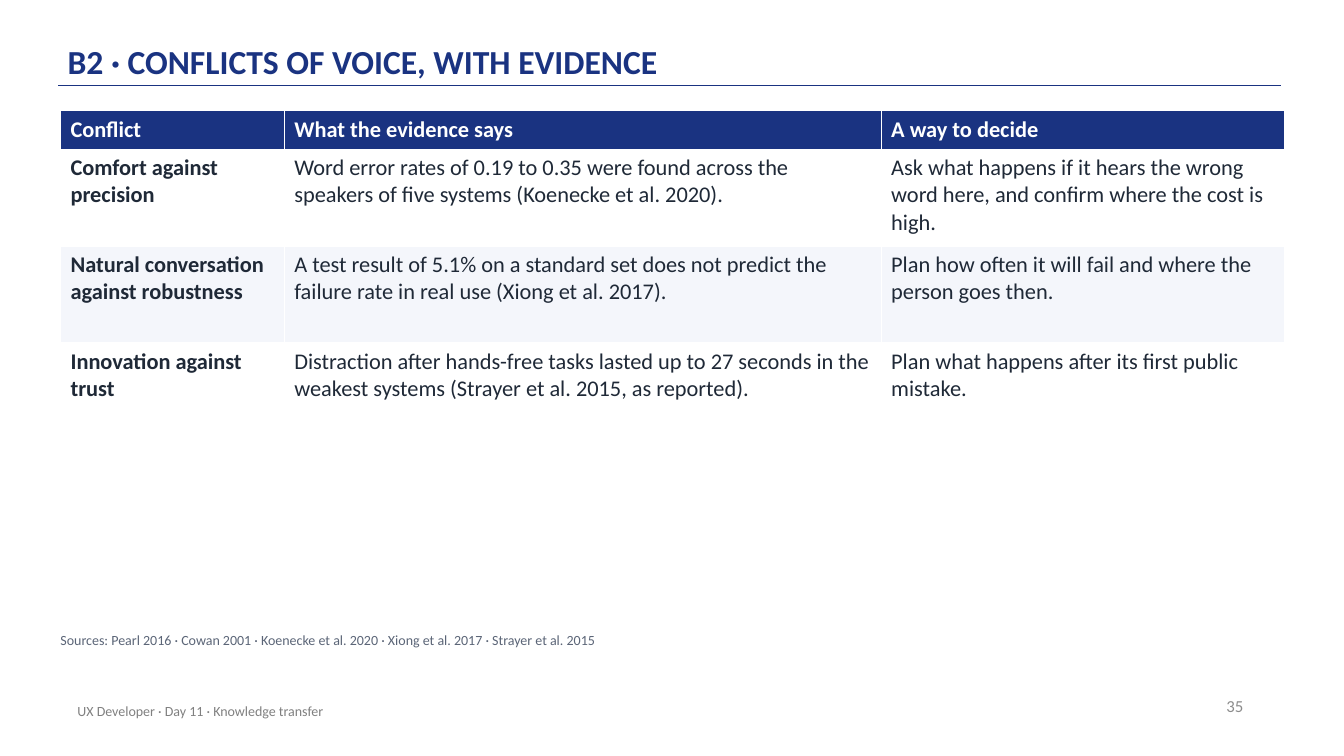
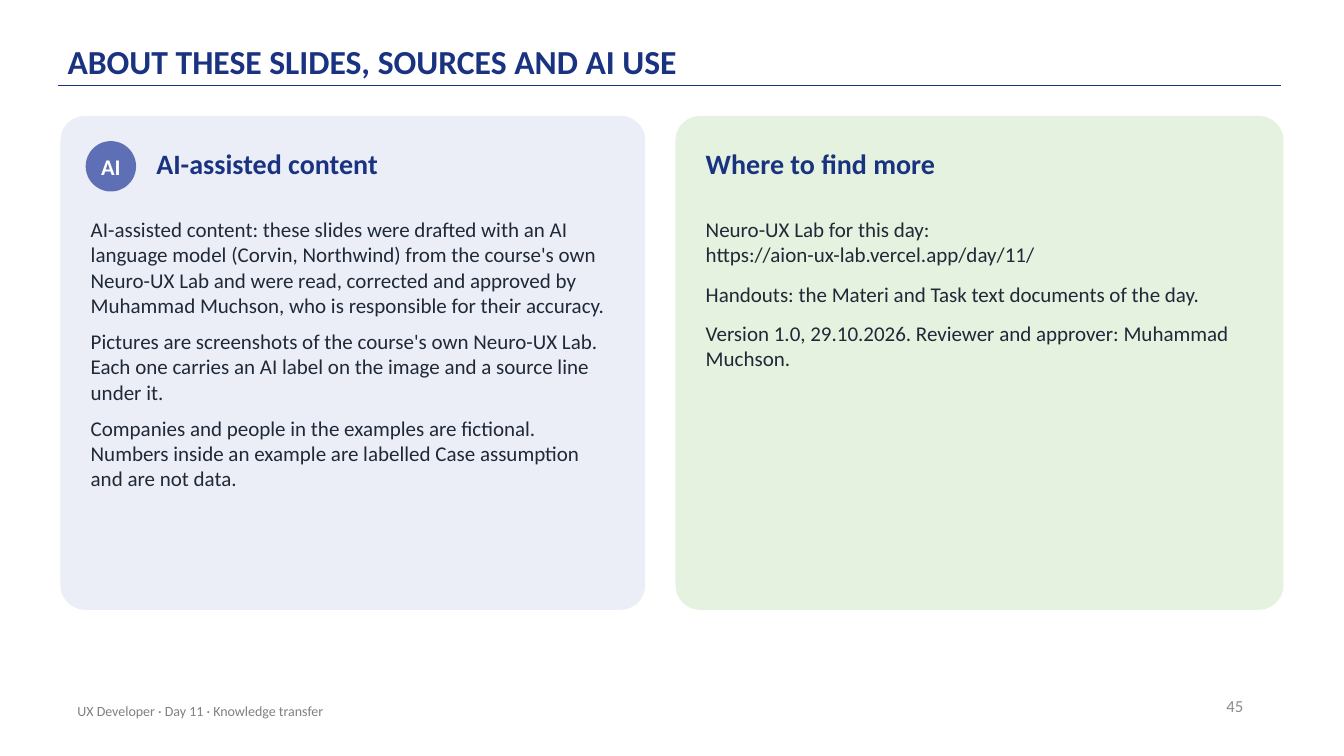
from dataclasses import dataclass
from typing import Optional, Sequence

from pptx import Presentation
from pptx import util as u
from pptx.dml.color import RGBColor
from pptx.enum import shapes, text
from pptx.oxml.ns import qn
from lxml import etree


@dataclass(frozen=True)
class Theme:
    font: str = "Calibri"
    navy: str = "1A3381"
    ink: str = "1F2937"
    source: str = "5B6577"
    footer: str = "808080"
    number: str = "8C8C8C"
    white: str = "FFFFFF"
    stripe: str = "F4F6FB"
    lilac: str = "ECEEF7"
    green: str = "E5F2DF"
    badge: str = "5F6FB5"
    title_size: float = 24
    heading_size: float = 20
    table_size: float = 16
    body_size: float = 15
    number_size: float = 12
    small_size: float = 10


@dataclass(frozen=True)
class Style:
    size: float
    color: str
    bold: bool = False
    align: text.PP_ALIGN = text.PP_ALIGN.LEFT
    after: float = 0


@dataclass(frozen=True)
class Area:
    left: float
    top: float
    width: float
    height: float

    def lengths(self) -> tuple:
        return tuple(u.Inches(side) for side in (self.left, self.top, self.width, self.height))


@dataclass(frozen=True)
class Card:
    left: float
    width: float
    fill: str
    heading: str
    paragraphs: Sequence[str]
    text_width: float
    after: float
    badge: Optional[str] = None


THEME = Theme()
FOOTER = "UX Developer · Day 11 · Knowledge transfer"
MARGIN = 0.6
CARD_TOP = 1.15
CARD_HEIGHT = 4.9

COLUMN_WIDTHS = (2.22, 5.92, 4)
ROW_HEIGHTS = (0.38, 0.96, 0.96, 0.96)
CONFLICTS = (
    ("Conflict", "What the evidence says", "A way to decide"),
    ("Comfort against precision",
     "Word error rates of 0.19 to 0.35 were found across the speakers of five systems "
     "(Koenecke et al. 2020).",
     "Ask what happens if it hears the wrong word here, and confirm where the cost is high."),
    ("Natural conversation against robustness",
     "A test result of 5.1% on a standard set does not predict the failure rate in real use "
     "(Xiong et al. 2017).",
     "Plan how often it will fail and where the person goes then."),
    ("Innovation against trust",
     "Distraction after hands-free tasks lasted up to 27 seconds in the weakest systems "
     "(Strayer et al. 2015, as reported).",
     "Plan what happens after its first public mistake."),
)
SOURCES = ("Sources: Pearl 2016 · Cowan 2001 · Koenecke et al. 2020 · "
           "Xiong et al. 2017 · Strayer et al. 2015")

CARDS = (
    Card(MARGIN, 5.8, THEME.lilac, "AI-assisted content", (
        "AI-assisted content: these slides were drafted with an AI language model "
        "(Corvin, Northwind) from the course's own Neuro-UX Lab and were read, corrected and "
        "approved by Muhammad Muchson, who is responsible for their accuracy.",
        "Pictures are screenshots of the course's own Neuro-UX Lab. Each one carries an AI label "
        "on the image and a source line under it.",
        "Companies and people in the examples are fictional. Numbers inside an example are "
        "labelled Case assumption and are not data.",
    ), 5.2, 8, badge="AI"),
    Card(6.7, 6.03, THEME.green, "Where to find more", (
        "Neuro-UX Lab for this day: https://aion-ux-lab.vercel.app/day/11/",
        "Handouts: the Materi and Task text documents of the day.",
        "Version 1.0, 29.10.2026. Reviewer and approver: Muhammad Muchson.",
    ), 5.5, 10),
)


def rgb(color: str) -> RGBColor:
    return RGBColor.from_string(color)


def write(frame, lines: Sequence[str], style: Style) -> None:
    """Fill a text frame with one paragraph per line, all in one style."""
    for index, line in enumerate(lines):
        para = frame.paragraphs[0] if index == 0 else frame.add_paragraph()
        para.text = line
        para.alignment = style.align
        para.space_after = u.Pt(style.after)
        for span in para.runs:
            span.font.name = THEME.font
            span.font.size = u.Pt(style.size)
            span.font.bold = style.bold
            span.font.color.rgb = rgb(style.color)


def set_insets(frame, side: float, end: float) -> None:
    frame.margin_left = frame.margin_right = u.Inches(side)
    frame.margin_top = frame.margin_bottom = u.Inches(end)


def add_text(page, area: Area, lines: Sequence[str], style: Style,
             insets: tuple[float, float] = (0, 0),
             anchor: text.MSO_ANCHOR = text.MSO_ANCHOR.TOP) -> None:
    frame = page.shapes.add_textbox(*area.lengths()).text_frame
    frame.word_wrap = True
    frame.vertical_anchor = anchor
    set_insets(frame, *insets)
    write(frame, lines, style)


def add_filled(page, kind: shapes.MSO_SHAPE, area: Area, fill: str):
    shape = page.shapes.add_shape(kind, *area.lengths())
    shape.shadow.inherit = False
    shape.fill.solid()
    shape.fill.fore_color.rgb = rgb(fill)
    shape.line.fill.background()
    return shape


def add_page(deck, title: str, number: int):
    """Add a slide with the shared rule, title, page number and footer."""
    page = deck.slides.add_slide(deck.slide_layouts[5])

    rule = page.shapes.add_connector(shapes.MSO_CONNECTOR.STRAIGHT, u.Inches(0.58), u.Inches(0.85),
                                     u.Inches(12.71), u.Inches(0.85))
    rule.line.color.rgb = rgb(THEME.navy)
    rule.line.width = u.Pt(1)
    etree.SubElement(rule.element.spPr, qn("a:effectLst"))

    heading = page.shapes.title
    heading.left, heading.top, heading.width, heading.height = Area(0.67, 0.12, 11, 0.72).lengths()
    frame = heading.text_frame
    frame.auto_size = text.MSO_AUTO_SIZE.NONE
    frame.vertical_anchor = text.MSO_ANCHOR.BOTTOM
    set_insets(frame, 0, 0.03)
    write(frame, [title], Style(THEME.title_size, THEME.navy, bold=True))
    frame.paragraphs[0].line_spacing = 0.9

    middle = text.MSO_ANCHOR.MIDDLE
    add_text(page, Area(9.43, 6.8, 3, 0.4), [str(number)],
             Style(THEME.number_size, THEME.number, align=text.PP_ALIGN.RIGHT), (0.1, 0.05), middle)
    add_text(page, Area(0.67, 6.85, 6.7, 0.4), [FOOTER],
             Style(THEME.small_size, THEME.footer), (0.1, 0.05), middle)
    return page


def add_conflict_table(page) -> None:
    area = Area(MARGIN, 1.1, sum(COLUMN_WIDTHS), sum(ROW_HEIGHTS))
    table = page.shapes.add_table(len(ROW_HEIGHTS), len(COLUMN_WIDTHS), *area.lengths()).table
    for column, width in zip(table.columns, COLUMN_WIDTHS):
        column.width = u.Inches(width)
    for row, height in zip(table.rows, ROW_HEIGHTS):
        row.height = u.Inches(height)
    for row_index, entries in enumerate(CONFLICTS):
        is_header = row_index == 0
        if is_header:
            fill, color = THEME.navy, THEME.white
        else:
            fill, color = (THEME.white if row_index % 2 else THEME.stripe), THEME.ink
        for column_index, entry in enumerate(entries):
            cell = table.cell(row_index, column_index)
            cell.fill.solid()
            cell.fill.fore_color.rgb = rgb(fill)
            write(cell.text_frame, [entry],
                  Style(THEME.table_size, color, bold=is_header or column_index == 0))


def add_card(page, card: Card) -> None:
    panel = add_filled(page, shapes.MSO_SHAPE.ROUNDED_RECTANGLE,
                       Area(card.left, CARD_TOP, card.width, CARD_HEIGHT), card.fill)
    panel.adjustments[0] = 0.05
    text_left = card.left + 0.3
    heading_left = text_left
    if card.badge:
        badge = add_filled(page, shapes.MSO_SHAPE.OVAL,
                           Area(card.left + 0.25, CARD_TOP + 0.25, 0.5, 0.5), THEME.badge)
        set_insets(badge.text_frame, 0, 0)
        badge.text_frame.vertical_anchor = text.MSO_ANCHOR.MIDDLE
        write(badge.text_frame, [card.badge],
              Style(THEME.table_size, THEME.white, bold=True, align=text.PP_ALIGN.CENTER))
        heading_left = card.left + 0.95
    heading_width = text_left + card.text_width - heading_left
    add_text(page, Area(heading_left, CARD_TOP + 0.3, heading_width, 0.5), [card.heading],
             Style(THEME.heading_size, THEME.navy, bold=True, after=6))
    add_text(page, Area(text_left, CARD_TOP + 1, card.text_width, 3.7), card.paragraphs,
             Style(THEME.body_size, THEME.ink, after=card.after))


def main() -> None:
    deck = Presentation()
    deck.slide_width = u.Inches(13.33)
    deck.slide_height = u.Inches(7.5)

    conflicts = add_page(deck, "B2 · CONFLICTS OF VOICE, WITH EVIDENCE", 35)
    add_conflict_table(conflicts)
    add_text(conflicts, Area(MARGIN, 6.27, 12.1, 0.3), [SOURCES],
             Style(THEME.small_size, THEME.source, after=6))

    about = add_page(deck, "ABOUT THESE SLIDES, SOURCES AND AI USE", 45)
    for card in CARDS:
        add_card(about, card)

    deck.save("out.pptx")


if __name__ == "__main__":
    main()
